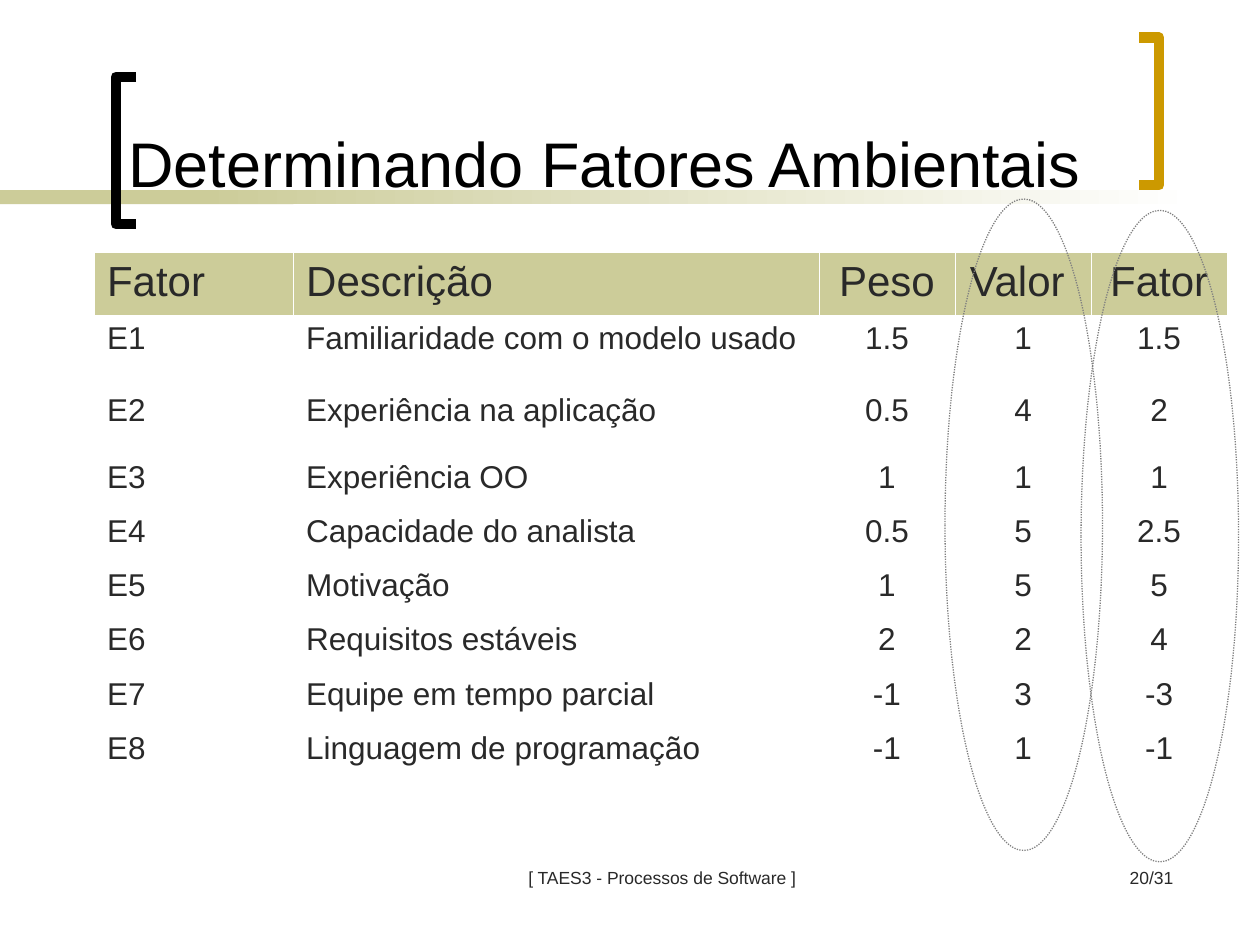
from lxml import etree
from pptx import Presentation
from pptx.dml.color import RGBColor
from pptx.enum.dml import MSO_LINE
from pptx.enum.shapes import MSO_SHAPE
from pptx.enum.text import MSO_ANCHOR, PP_ALIGN
from pptx.oxml.ns import qn
from pptx.util import Inches, Pt

LEFT, CENTER, RIGHT = PP_ALIGN.LEFT, PP_ALIGN.CENTER, PP_ALIGN.RIGHT
TOP, BOTTOM = MSO_ANCHOR.TOP, MSO_ANCHOR.BOTTOM
RECTANGLE, OVAL = MSO_SHAPE.RECTANGLE, MSO_SHAPE.OVAL
DOTTED = MSO_LINE.ROUND_DOT

TITLE = "Determinando Fatores Ambientais"
FOOTER = "[ TAES3 - Processos de Software ]"
PAGE = "20/31"
HEADINGS = ("Fator", "Descrição", "Peso", "Valor ", "Fator")
FACTORS = [
    ("E1", "Familiaridade com o modelo usado", "1.5", "1", "1.5"),
    ("E2", "Experiência na aplicação", "0.5", "4", "2"),
    ("E3", "Experiência OO", "1", "1", "1"),
    ("E4", "Capacidade do analista", "0.5", "5", "2.5"),
    ("E5", "Motivação", "1", "5", "5"),
    ("E6", "Requisitos estáveis", "2", "2", "4"),
    ("E7", "Equipe em tempo parcial", "-1", "3", "-3"),
    ("E8", "Linguagem de programação", "-1", "1", "-1"),
]
COLUMN_WIDTHS = [1.58, 4.17] + [1.08] * 3
ROW_HEIGHTS = [0.5, 0.57, 0.53] + [0.43] * 6
COLUMN_ALIGNMENTS = [LEFT] * 2 + [CENTER] * 3

THEME = {
    "font": "Arial",
    "title": RGBColor(0x00, 0x00, 0x00),
    "text": RGBColor(0x29, 0x29, 0x29),
    "band": RGBColor(0xCC, 0xCC, 0x99),
    "gold": RGBColor(0xCC, 0x99, 0x00),
    "paper": RGBColor(0xFF, 0xFF, 0xFF),
    "highlight": RGBColor(0x80, 0x80, 0x80),
    "title_size": 36,
    "heading_size": 24,
    "body_size": 18,
    "footer_size": 10,
}


def write(frame, text, size, color, align):
    frame.text = text
    paragraph = frame.paragraphs[0]
    paragraph.alignment = align
    font = paragraph.runs[0].font
    font.name, font.size, font.color.rgb = THEME["font"], Pt(size), color
    return paragraph


def add_label(slide, box, text, size, color, align, anchor=TOP):
    frame = slide.shapes.add_textbox(*map(Inches, box)).text_frame
    frame.word_wrap = True
    frame.vertical_anchor = anchor
    write(frame, text, size, color, align)


def add_plain_shape(slide, kind, box):
    shape = slide.shapes.add_shape(kind, *map(Inches, box))
    shape.shadow.inherit = False
    return shape


def add_title_band(slide):
    """Draw the solid start of the band and its fade into the paper."""
    top, height, split = 1.51, 0.11, 1.58
    solid = add_plain_shape(slide, RECTANGLE, (0, top, 2.33, height))
    solid.fill.solid()
    solid.fill.fore_color.rgb = THEME["band"]
    fade = add_plain_shape(slide, RECTANGLE, (split, top, 7.92, height))
    fade.fill.gradient()
    fade.fill.gradient_angle = 0
    for stop, position, color in zip(fade.fill.gradient_stops, (0, 1), ("band", "paper")):
        stop.position = position
        stop.color.rgb = THEME[color]
    for part in (solid, fade):
        part.line.fill.background()


def add_bracket(slide, tip, spine, top, color):
    """Draw a square bracket whose open ends are at tip."""
    bottom = top + 1.17
    points = [(Inches(x), Inches(y)) for x, y in
              ((tip, top), (spine, top), (spine, bottom), (tip, bottom))]
    builder = slide.shapes.build_freeform(*points[0])
    builder.add_line_segments(points[1:], close=False)
    bracket = builder.convert_to_shape()
    bracket.shadow.inherit = False
    bracket.fill.background()
    bracket.line.color.rgb = color
    bracket.line.width = Pt(6)


def add_borders(cell):
    properties = cell._tc.get_or_add_tcPr()
    for index, side in enumerate(("lnL", "lnR", "lnT", "lnB")):
        border = etree.Element(qn(f"a:{side}"), w=str(Pt(0.45)))
        fill = etree.SubElement(border, qn("a:solidFill"))
        etree.SubElement(fill, qn("a:srgbClr"), val=str(THEME["paper"]))
        properties.insert(index, border)


def add_factor_table(slide):
    rows = [HEADINGS] + FACTORS
    table = slide.shapes.add_table(
        len(rows), len(HEADINGS), Inches(0.75), Inches(2),
        Inches(sum(COLUMN_WIDTHS)), Inches(sum(ROW_HEIGHTS))).table
    table.first_row = table.horz_banding = False
    for column, width in zip(table.columns, COLUMN_WIDTHS):
        column.width = Inches(width)
    for r, (values, height) in enumerate(zip(rows, ROW_HEIGHTS)):
        table.rows[r].height = Inches(height)
        size = THEME["body_size"] if r else THEME["heading_size"]
        for c, (value, align) in enumerate(zip(values, COLUMN_ALIGNMENTS)):
            cell = table.cell(r, c)
            paragraph = write(cell.text_frame, value, size, THEME["text"], align)
            paragraph.space_before = Pt(size / 4)
            if r:
                cell.fill.background()
            else:
                cell.fill.solid()
                cell.fill.fore_color.rgb = THEME["band"]
            add_borders(cell)


def add_highlight(slide, left, top):
    ellipse = add_plain_shape(slide, OVAL, (left, top, 1.25, 5.17))
    ellipse.fill.background()
    ellipse.line.color.rgb = THEME["highlight"]
    ellipse.line.width = Pt(0.75)
    ellipse.line.dash_style = DOTTED


def main():
    deck = Presentation()
    deck.slide_width, deck.slide_height = Inches(10), Inches(7.5)
    slide = deck.slides.add_slide(deck.slide_layouts[6])

    add_title_band(slide)
    add_bracket(slide, 1.08, 0.92, 0.61, THEME["title"])
    add_bracket(slide, 9.04, 9.2, 0.3, THEME["gold"])
    for box, text, align in (((3.67, 6.83, 3.17, 0.5), FOOTER, CENTER),
                             ((7.33, 6.83, 2.08, 0.5), PAGE, RIGHT)):
        add_label(slide, box, text, THEME["footer_size"], THEME["text"], align)
    add_label(slide, (0.92, 0.39, 8.5, 1.25), TITLE,
              THEME["title_size"], THEME["title"], LEFT, BOTTOM)
    add_factor_table(slide)
    for left, top in ((7.5, 1.58), (8.58, 1.67)):
        add_highlight(slide, left, top)

    deck.save("out.pptx")


if __name__ == "__main__":
    main()
